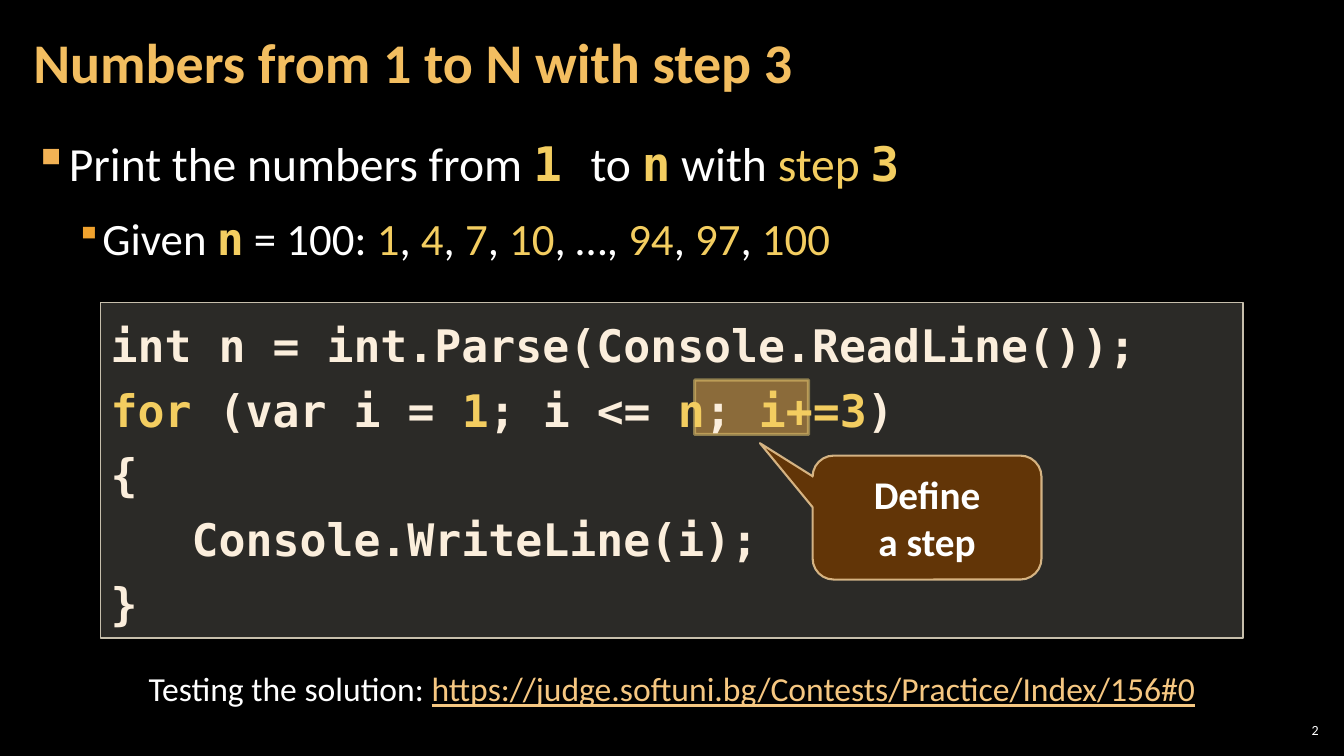
from lxml.etree import SubElement
from pptx import Presentation
from pptx.dml.color import RGBColor
from pptx.enum.shapes import MSO_SHAPE
from pptx.enum.text import MSO_ANCHOR, MSO_AUTO_SIZE, PP_ALIGN
from pptx.oxml.ns import qn
from pptx.util import Inches, Pt

BLACK = RGBColor(0x00, 0x00, 0x00)
WHITE = RGBColor(0xFF, 0xFF, 0xFF)
TITLE_GOLD = RGBColor(0xF3, 0xBE, 0x60)
YELLOW = RGBColor(0xF3, 0xCD, 0x60)
ORANGE = RGBColor(0xF0, 0xA2, 0x2E)
BULLET = RGBColor(0xF2, 0xB2, 0x54)
CREAM = RGBColor(0xFB, 0xEE, 0xDC)
STONE = RGBColor(0xD9, 0xD5, 0xC7)
STONE_EDGE = RGBColor(0xC7, 0xBF, 0xAC)
BROWN = RGBColor(0x66, 0x36, 0x06)
BROWN_EDGE = RGBColor(0xF8, 0xD4, 0x9E)
LINK = RGBColor(0xF6, 0xC7, 0x81)
SANS, MONO = "Calibri", "DejaVu Sans Mono"

# Run styles
PLAIN = {"name": SANS, "bold": False, "color": WHITE}
ACCENT = {**PLAIN, "color": YELLOW}
MONO_ACCENT = {"name": MONO, "bold": True, "color": YELLOW}
CODE = {**MONO_ACCENT, "color": CREAM}
STRONG = {**PLAIN, "bold": True}

BULLETS = [
    {"size": 34, "margin": 0.33, "hang": 0.33, "color": BULLET, "scale": 100,
     "runs": [("Print the numbers from ", PLAIN), ("1 ", MONO_ACCENT), ("to ", PLAIN),
              ("n", MONO_ACCENT), (" with ", PLAIN), ("step ", ACCENT), ("3", MONO_ACCENT)]},
    {"size": 32, "margin": 0.67, "hang": 0.25, "color": ORANGE, "scale": 80,
     "runs": [("Given ", PLAIN), ("n", MONO_ACCENT), (" = 100: ", PLAIN),
              ("1", ACCENT), (", ", PLAIN), ("4", ACCENT), (", ", PLAIN),
              ("7", ACCENT), (", ", PLAIN), ("10", ACCENT), (", …, ", PLAIN),
              ("94", ACCENT), (", ", PLAIN), ("97", ACCENT), (", ", PLAIN),
              ("100", ACCENT)]},
]
CODE_LINES = [
    [("int n = int.Parse(Console.ReadLine());", CODE)],
    [("for", MONO_ACCENT), (" (var i = ", CODE), ("1", MONO_ACCENT), ("; i <= ", CODE),
     ("n", MONO_ACCENT), ("; ", CODE), ("i+=3", MONO_ACCENT), (")", CODE)],
    [("{", CODE)],
    [("   Console.WriteLine(i);", CODE)],
    [("}", CODE)],
]


def inches(box):
    return [Inches(value) for value in box]


def set_frame(frame, side=0.1, edge=0.05, **formats):
    values = {"word_wrap": True, "auto_size": MSO_AUTO_SIZE.NONE,
              "vertical_anchor": MSO_ANCHOR.TOP,
              "margin_left": Inches(side), "margin_right": Inches(side),
              "margin_top": Inches(edge), "margin_bottom": Inches(edge), **formats}
    for name, value in values.items():
        setattr(frame, name, value)


def next_paragraph(frame, index):
    return frame.add_paragraph() if index else frame.paragraphs[0]


def write(para, runs, size, **formats):
    for name, value in formats.items():
        setattr(para, name, value)
    for text, style in runs:
        span = para.add_run()
        span.text = text
        span.font.size = Pt(size)
        for name, value in style.items():
            if name == "color":
                span.font.color.rgb = value
            else:
                setattr(span.font, name, value)


def add_panel(page, kind, box, fill, line, width, opacities):
    """Add a shape; opacities holds the fill and line percentages."""
    shape = page.shapes.add_shape(kind, *inches(box))
    shape.shadow.inherit = False
    shape.fill.solid()
    shape.fill.fore_color.rgb = fill
    shape.line.color.rgb = line
    shape.line.width = Pt(width)
    colors = shape.element.spPr.iter(qn("a:srgbClr"))
    for color, opacity in zip(list(colors), opacities):
        if opacity < 100:
            SubElement(color, qn("a:alpha"), val=str(opacity * 1000))
    return shape


def add_title(page, box):
    title = page.shapes.title
    title.left, title.top, title.width, title.height = inches(box)
    set_frame(title.text_frame, 0.12, 0.04, vertical_anchor=MSO_ANCHOR.MIDDLE)
    write(title.text_frame.paragraphs[0],
          [("Numbers from 1 to N with step 3", {**STRONG, "color": TITLE_GOLD})],
          40, alignment=PP_ALIGN.LEFT, line_spacing=0.9)


def add_bullets(page, box):
    frame = page.shapes.add_textbox(*inches(box)).text_frame
    set_frame(frame, 0.12, 0.04)
    for index, item in enumerate(BULLETS):
        para = next_paragraph(frame, index)
        props = para._p.get_or_add_pPr()
        props.set("marL", str(Inches(item["margin"])))
        props.set("indent", str(-Inches(item["hang"])))
        color = SubElement(props, qn("a:buClr"))
        SubElement(color, qn("a:srgbClr"), val=str(item["color"]))
        SubElement(props, qn("a:buSzPct"), val=str(item["scale"] * 1000))
        SubElement(props, qn("a:buChar"), char="▪")
        write(para, item["runs"], item["size"], line_spacing=1.05,
              space_before=Pt(6 if index else 0), space_after=Pt(6))


def add_code(page, box):
    left, top, _, _ = box
    # Highlight behind the step expression
    add_panel(page, MSO_SHAPE.RECTANGLE, (left + 5.89, top + 0.77, 1.13, 0.54),
              ORANGE, YELLOW, 2.25, (50, 50))
    # Code panel
    frame = add_panel(page, MSO_SHAPE.RECTANGLE, box, STONE, STONE_EDGE, 1,
                      (20, 100)).text_frame
    set_frame(frame)
    for index, runs in enumerate(CODE_LINES):
        write(next_paragraph(frame, index), runs, 32,
              alignment=PP_ALIGN.LEFT, line_spacing=1.2)
    # Callout that points at the step
    callout = add_panel(page, MSO_SHAPE.ROUNDED_RECTANGULAR_CALLOUT,
                        (left + 7.06, top + 1.52, 2.27, 1.23),
                        BROWN, BROWN_EDGE, 1.5, (95, 80))
    for index, value in enumerate((-0.73, -0.6, 0.17)):
        callout.adjustments[index] = value
    set_frame(callout.text_frame, vertical_anchor=MSO_ANCHOR.MIDDLE)
    para = callout.text_frame.paragraphs[0]
    write(para, [("Define", STRONG)], 28, alignment=PP_ALIGN.CENTER)
    para.add_line_break()
    write(para, [("a step", STRONG)], 28)


def add_line_of_text(page, box, runs, size, alignment, **frame_formats):
    frame = page.shapes.add_textbox(*inches(box)).text_frame
    set_frame(frame, **frame_formats)
    write(frame.paragraphs[0], runs, size, alignment=alignment)


def main():
    deck = Presentation()
    deck.slide_width, deck.slide_height = Inches(13.33), Inches(7.5)
    page = deck.slides.add_slide(deck.slide_layouts[5])
    page.background.fill.solid()
    page.background.fill.fore_color.rgb = BLACK

    add_title(page, (0.21, 0.04, 10.47, 1.21))
    add_bullets(page, (0.21, 1.26, 12.91, 1.6))
    add_code(page, (1, 3, 11.33, 3.33))
    # Test address
    add_line_of_text(page, (0.83, 6.58, 11.67, 0.5),
                     [("Testing the solution: ", PLAIN),
                      ("https://judge.softuni.bg/Contests/Practice/Index/156#0",
                       {**PLAIN, "color": LINK, "underline": True})],
                     24, PP_ALIGN.CENTER)
    # Page number
    add_line_of_text(page, (12.65, 7.14, 0.47, 0.21), [("2", PLAIN)], 10, PP_ALIGN.RIGHT,
                     side=0.04, edge=0.04, vertical_anchor=MSO_ANCHOR.MIDDLE)
    deck.save("out.pptx")


if __name__ == "__main__":
    main()
